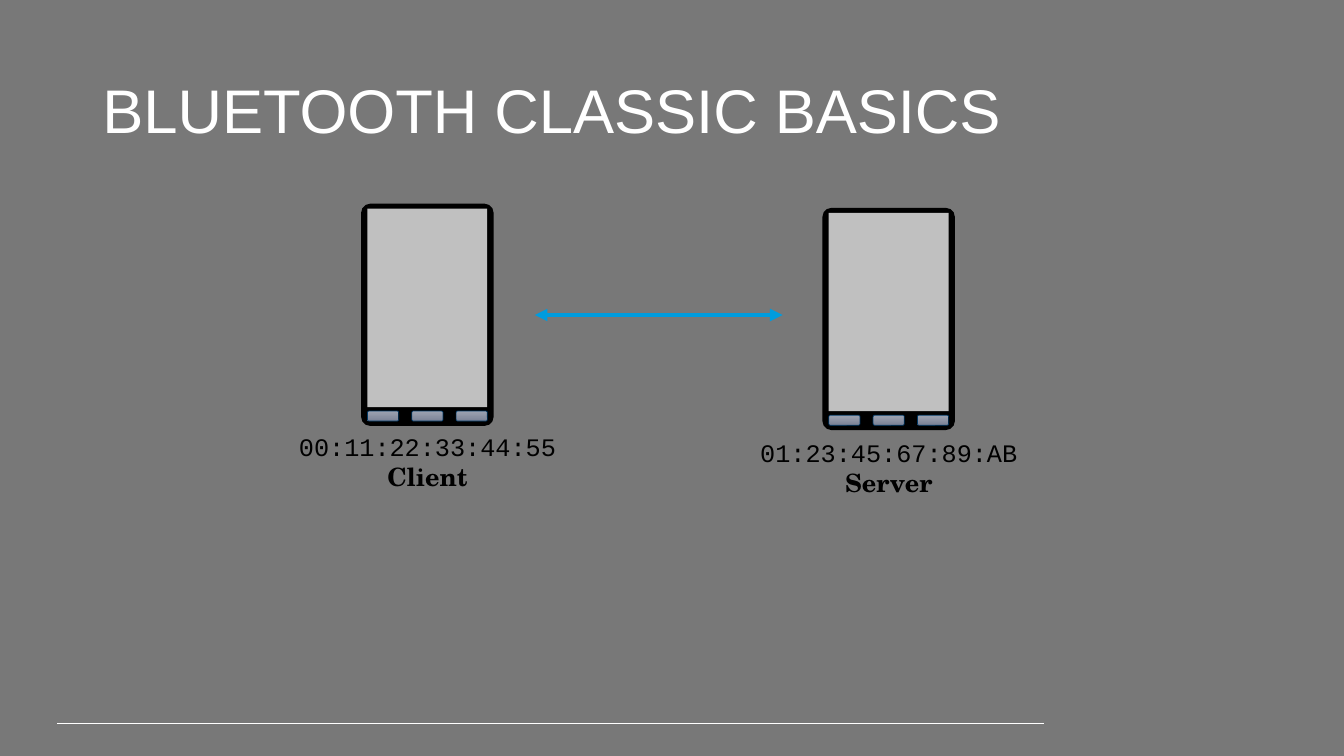
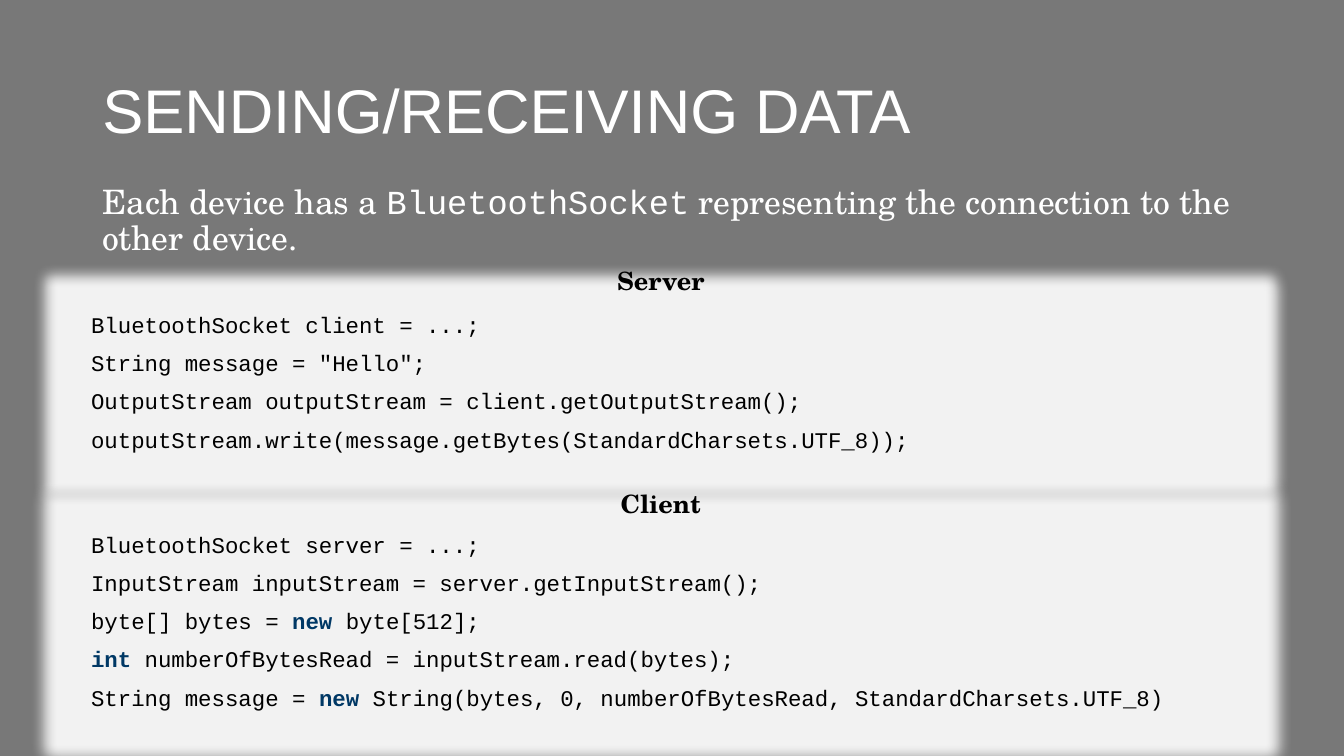
from lxml import etree
from pptx import Presentation
from pptx.dml.color import RGBColor
from pptx.enum import shapes, text
from pptx.oxml.ns import qn
from pptx.util import Pt

GRAY, WHITE, BLACK = "787878", "FFFFFF", "000000"
SILVER, PANEL, NAVY, BLUE = "C0C0C0", "F2F2F2", "003865", "009CDE"
BUTTON_TOP, BUTTON_BOTTOM = "9DA3B1", "7C8397"
SANS, SERIF, MONO = "Arial", "TeX Gyre Schola", "Courier New"
RECT, ROUND = shapes.MSO_SHAPE.RECTANGLE, shapes.MSO_SHAPE.ROUNDED_RECTANGLE
PHONE_W, PHONE_H = 93.6, 157.7
KEYWORD = dict(bold=True, color=NAVY)


def rgb(value):
    return RGBColor.from_string(value)


def add_text(sp, paras, size=18, font=MONO, color=BLACK, bold=False,
             align=text.PP_ALIGN.LEFT, anchor=text.MSO_ANCHOR.TOP,
             spacing=1.0, before=0):
    tf = sp.text_frame
    tf.word_wrap = True
    tf.vertical_anchor = anchor
    for i, runs in enumerate(paras):
        p = tf.paragraphs[0] if i == 0 else tf.add_paragraph()
        p.alignment = align
        p.line_spacing = spacing
        p.space_before = Pt(before if i else 0)
        for run in [runs] if isinstance(runs, str) else runs:
            content, own = (run, {}) if isinstance(run, str) else run
            r = p.add_run()
            r.text = content
            r.font.size = Pt(size)
            r.font.name = own.get("font", font)
            r.font.bold = own.get("bold", bold)
            r.font.color.rgb = rgb(own.get("color", color))


def add_box(parent, kind, x, y, w, h, fill, line=None, width=1):
    sp = parent.add_shape(kind, Pt(x), Pt(y), Pt(w), Pt(h))
    sp.shadow.inherit = False
    if isinstance(fill, tuple):
        sp.fill.gradient()
        sp.fill.gradient_angle = 270
        for stop, color in zip(sp.fill.gradient_stops, fill):
            stop.color.rgb = rgb(color)
    else:
        sp.fill.solid()
        sp.fill.fore_color.rgb = rgb(fill)
    if line:
        sp.line.color.rgb = rgb(line)
        sp.line.width = Pt(width)
    else:
        sp.line.fill.background()
    return sp


def add_label(slide, x, y, w, h, paras, **fmt):
    sp = slide.shapes.add_textbox(Pt(x), Pt(y), Pt(w), Pt(h))
    add_text(sp, paras, **fmt)


def add_effect(sp, kind, color, alpha=100, **attrs):
    effects = sp._element.spPr.find(qn("a:effectLst"))
    effect = etree.SubElement(effects, qn("a:" + kind),
                              {k: str(v) for k, v in attrs.items()})
    clr = etree.SubElement(effect, qn("a:srgbClr"), val=color)
    etree.SubElement(clr, qn("a:alpha"), val=str(alpha * 1000))


def add_line(slide, x1, x2, y, color, width, arrows=False):
    cx = slide.shapes.add_connector(
        shapes.MSO_CONNECTOR.STRAIGHT, Pt(x1), Pt(y), Pt(x2), Pt(y))
    cx.line.color.rgb = rgb(color)
    cx.line.width = Pt(width)
    if arrows:
        ln = cx.line._get_or_add_ln()
        for end in ("a:headEnd", "a:tailEnd"):
            etree.SubElement(ln, qn(end), type="triangle")
    etree.SubElement(cx._element.spPr, qn("a:effectLst"))


def add_slide(prs, title):
    slide = prs.slides.add_slide(prs.slide_layouts[6])
    add_line(slide, 41, 746, 517, WHITE, 0.75)
    add_label(slide, 66, 29, 828, 104, [title], size=44, font=SANS,
              color=WHITE, anchor=text.MSO_ANCHOR.MIDDLE, spacing=0.9)
    return slide


def add_phone(slide, x, y, address, role, gap):
    group = slide.shapes.add_group_shape().shapes
    body = add_box(group, ROUND, x, y, PHONE_W, PHONE_H, BLACK, BLACK)
    body.adjustments[0] = 0.063
    screen_w, button_w = PHONE_W - 8, 22.3
    screen = add_box(group, RECT, x + 4, y + 3, screen_w, 141.8, SILVER)
    add_effect(screen, "outerShdw", BLACK, 63, blurRad=Pt(4.5),
               dist=Pt(1.5), dir=5400000, rotWithShape=0)
    for i in range(3):
        add_box(group, ROUND, x + 4 + i * (screen_w - button_w) / 2, y + 147.6,
                button_w, 7.2, (BUTTON_TOP, BUTTON_BOTTOM), NAVY, 0.5)
    caption_w = 201
    add_label(slide, x + (PHONE_W - caption_w) / 2, y + PHONE_H + gap,
              caption_w, 51,
              [address, [(role, dict(font=SERIF, bold=True))]],
              align=text.PP_ALIGN.CENTER)


def add_code(slide, x, y, w, h, lines):
    sp = add_box(slide.shapes, RECT, x, y, w, h, PANEL)
    add_effect(sp, "glow", PANEL, rad=Pt(18))
    add_text(sp, lines, size=16, spacing=0.9, before=10)


def add_role(slide, y, role):
    add_label(slide, 371.5, y, 201, 29, [role], font=SERIF, bold=True,
              align=text.PP_ALIGN.CENTER)


def basics_slide(prs):
    slide = add_slide(prs, "BLUETOOTH CLASSIC BASICS")
    add_phone(slide, 258.5, 146, "00:11:22:33:44:55", "Client", 0.8)
    add_phone(slide, 588, 149, "01:23:45:67:89:AB", "Server", 2.2)
    add_line(slide, 382, 559, 225, BLUE, 3, arrows=True)


def data_slide(prs):
    slide = add_slide(prs, "SENDING/RECEIVING DATA")
    add_code(slide, 58, 221, 828, 108, [
        "BluetoothSocket client = ...;",
        'String message = "Hello";',
        "OutputStream outputStream = client.getOutputStream();",
        "outputStream.write(message.getBytes(StandardCharsets.UTF_8));",
    ])
    add_label(slide, 66, 129, 828, 60, [[
        "Each device has a ",
        ("BluetoothSocket", dict(font=MONO)),
        " representing the connection to the other device.",
    ]], size=24, font=SERIF, color=WHITE, spacing=0.9)
    add_code(slide, 58, 378, 828, 135.5, [
        "BluetoothSocket server = ...;",
        "InputStream inputStream = server.getInputStream();",
        ["byte[] bytes = ", ("new", KEYWORD), " byte[512];"],
        [("int ", KEYWORD), "numberOfBytesRead = inputStream.read(bytes);"],
        ["String message = ", ("new", KEYWORD),
         " String(bytes, 0, numberOfBytesRead, StandardCharsets.UTF_8)"],
    ])
    add_role(slide, 186, "Server")
    add_role(slide, 345, "Client")


def main():
    prs = Presentation()
    prs.slide_width, prs.slide_height = Pt(960), Pt(540)
    fill = prs.slide_master.background.fill
    fill.solid()
    fill.fore_color.rgb = rgb(GRAY)
    basics_slide(prs)
    data_slide(prs)
    prs.save("out.pptx")


if __name__ == "__main__":
    main()
